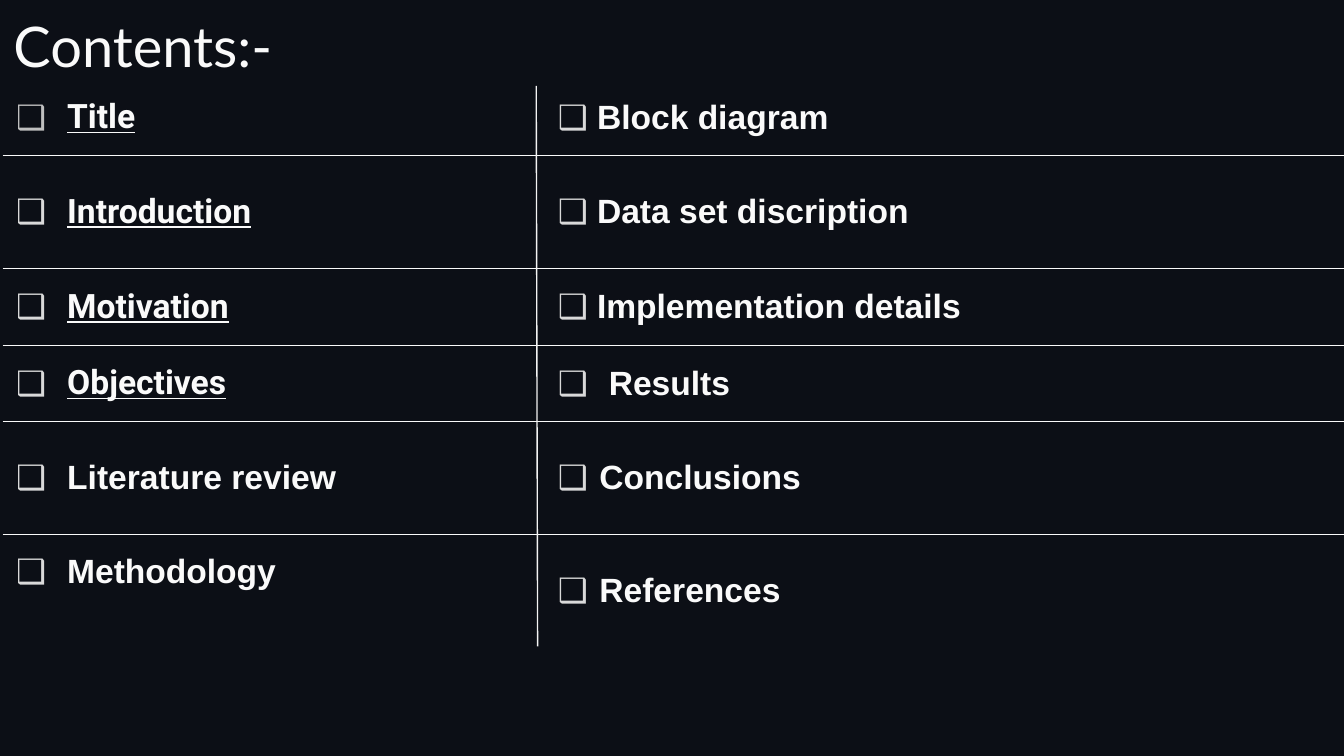
from dataclasses import dataclass

from lxml import etree
from pptx import Presentation
from pptx.dml.color import RGBColor
from pptx.enum import shapes, text
from pptx.oxml import parse_xml
from pptx.oxml.ns import qn
from pptx.util import Inches, Pt

NS = 'xmlns:a="http://schemas.openxmlformats.org/drawingml/2006/main"'
PLAIN = "{2D5ABB26-0587-4C30-8999-92F81FD0307C}"  # table style without grid


@dataclass
class Theme:
    back: str = "0C0F16"
    ink: str = "FAFAFA"
    rule: str = "F4F4F4"
    mark: str = "D9D9D9"
    first: str = "BFBFBF"
    head: int = 30
    body: int = 18
    line: float = 0.75


theme = Theme()


def write(frame, words, font, size, bold=False, under=False, mark=None, indent=0):
    """Fill the frame with one paragraph, with a hanging box bullet if mark is a colour."""
    para = frame.paragraphs[0]
    para.alignment = text.PP_ALIGN.LEFT
    if mark:
        props = para._p.get_or_add_pPr()
        props.set("marL", str(Inches(indent)))
        props.set("indent", str(-Inches(indent)))
        props.append(parse_xml(f'<a:buClr {NS}><a:srgbClr val="{mark}"/></a:buClr>'))
        props.append(parse_xml(f'<a:buFont {NS} typeface="Arial"/>'))
        props.append(parse_xml(f'<a:buChar {NS} char="❑"/>'))
    run = para.add_run()
    run.text = words
    run.font.name = font
    run.font.size = Pt(size)
    run.font.bold = bold
    run.font.underline = under
    run.font.color.rgb = RGBColor.from_string(theme.ink)


deck = Presentation()
deck.slide_width, deck.slide_height = Inches(10), Inches(10 * 9 / 16)
slide = deck.slides.add_slide(deck.slide_layouts[5])
slide.background.fill.solid()
slide.background.fill.fore_color.rgb = RGBColor.from_string(theme.back)

# Title
title = slide.shapes.title
title.left, title.top = Inches(0), Inches(0.02)
title.width, title.height = Inches(8.43), Inches(0.63)
frame = title.text_frame
frame.auto_size = text.MSO_AUTO_SIZE.NONE
frame.vertical_anchor = text.MSO_ANCHOR.MIDDLE
frame.margin_left = frame.margin_right = Inches(0.1)
frame.margin_top = frame.margin_bottom = Inches(0.1)
write(frame, "Contents:-", "Lato", theme.head)

# Contents table: row height, left topic, its font, right topic, its indent
rows = [
    (0.57, "Title", "Roboto", " Block diagram", 0.19),
    (0.84, "Introduction", "Roboto", " Data set discription", 0.19),
    (0.57, "Motivation", "Roboto", " Implementation details", 0.19),
    (0.57, "Objectives", "Roboto", "Results", 0.38),
    (0.84, "Literature review", "Arial", "Conclusions", 0.31),
    (0.84, "Methodology", "Arial", "References", 0.31),
]
shape = slide.shapes.add_table(len(rows), 2, Inches(0.02), Inches(0.59),
                               Inches(9.98), Inches(4.23))
table = shape.table
table.first_row = table.horz_banding = False
table._tbl.tblPr.find(qn("a:tableStyleId")).text = PLAIN
table.columns[0].width = Inches(4.03)
table.columns[1].width = Inches(5.95)

for i, (height, left, font, right, indent) in enumerate(rows):
    table.rows[i].height = Inches(height)
    topics = [(left, font, 0.38), (right, "Arial", indent)]
    for j, (words, face, hang) in enumerate(topics):
        cell = table.cell(i, j)
        cell.vertical_anchor = text.MSO_ANCHOR.MIDDLE
        cell.margin_left = cell.margin_right = Inches(0.1)
        cell.margin_top = cell.margin_bottom = Inches(0)
        cell.fill.background()
        write(cell.text_frame, words, face, theme.body, bold=True,
              under=face == "Roboto", indent=hang,
              mark=theme.first if i == j == 0 else theme.mark)
        if i < len(rows) - 1:
            cell._tc.get_or_add_tcPr().insert(0, parse_xml(
                f'<a:lnB {NS} w="{Pt(theme.line)}"><a:solidFill>'
                f'<a:srgbClr val="{theme.ink}"/></a:solidFill></a:lnB>'))
table.cell(len(rows) - 1, 0).margin_bottom = Inches(0.29)  # raises the last topic

# Column divider
rule = slide.shapes.add_connector(shapes.MSO_CONNECTOR.STRAIGHT, Inches(3.99),
                                  Inches(0.64), Inches(4), Inches(4.81))
rule.line.width = Pt(theme.line)
rule.line.color.rgb = RGBColor.from_string(theme.rule)
etree.SubElement(rule._element.spPr, qn("a:effectLst"))

deck.save("out.pptx")
